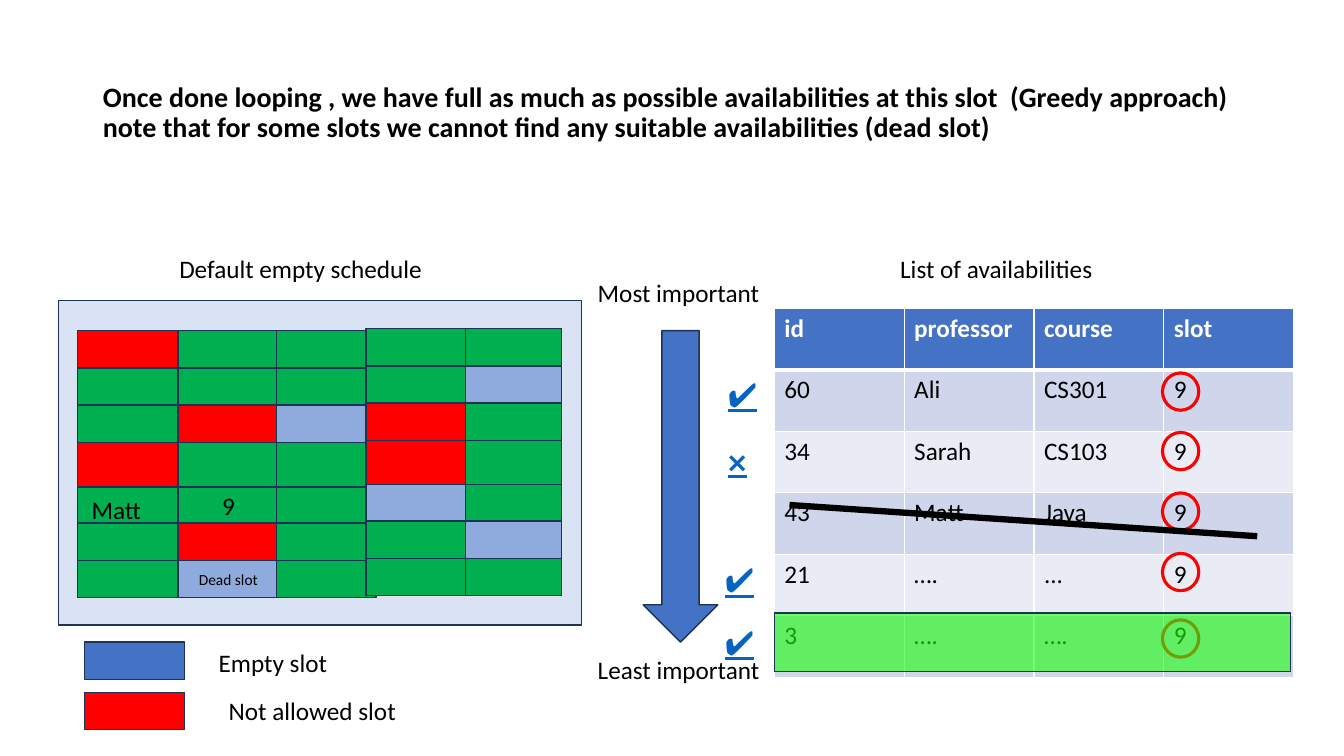
from typing import NamedTuple, Optional

from lxml.etree import SubElement
from pptx import Presentation
from pptx.dml.color import RGBColor
from pptx.enum.shapes import MSO_CONNECTOR, MSO_SHAPE as Preset
from pptx.enum.text import MSO_ANCHOR as Anchor, MSO_AUTO_SIZE as AutoSize, PP_ALIGN as Align
from pptx.oxml.ns import qn
from pptx.util import Inches, Pt

FONT = "Calibri"
BLACK, WHITE, RED, GREEN = "000000", "FFFFFF", "FF0000", "00B050"
BLUE, PALE_BLUE, PANEL, OUTLINE = "4472C4", "8FAADC", "DAE3F3", "1E3256"
LINK_BLUE, HIGHLIGHT = "0563C1", "1DFF0D"
BANDS = ("CFD5EA", "E9EBF5")


class Box(NamedTuple):
    """Position and size in inches."""
    left: float
    top: float
    width: float
    height: float


class Label(NamedTuple):
    """A free text on the slide."""
    text: str
    box: Box
    size: int = 18
    color: str = BLACK
    underline: bool = False


def rgb(color: str) -> RGBColor:
    """Turn a hex string into a colour."""
    return RGBColor.from_string(color)


def lengths(box: Box) -> list:
    """Convert a box to slide lengths."""
    return [Inches(value) for value in box]


def add_run(paragraph, text: str, size: int, color: str = BLACK,
            bold: bool = False, underline: bool = False) -> None:
    """Append one formatted run."""
    run = paragraph.add_run()
    run.text = text
    font = run.font
    font.name, font.size, font.bold = FONT, Pt(size), bold
    font.color.rgb = rgb(color)
    if underline:
        font.underline = True


def add_figure(slide, preset, box: Box, fill: Optional[str],
               line: str = OUTLINE, weight: float = 1):
    """Draw a preset shape, unfilled when fill is None."""
    figure = slide.shapes.add_shape(preset, *lengths(box))
    figure.shadow.inherit = False
    if fill is None:
        figure.fill.background()
    else:
        figure.fill.solid()
        figure.fill.fore_color.rgb = rgb(fill)
    figure.line.color.rgb = rgb(line)
    figure.line.width = Pt(weight)
    return figure


def add_label(slide, label: Label) -> None:
    """Write a wrapped text box."""
    frame = slide.shapes.add_textbox(*lengths(label.box)).text_frame
    frame.word_wrap = True
    frame.auto_size = AutoSize.SHAPE_TO_FIT_TEXT
    add_run(frame.paragraphs[0], label.text, label.size, label.color,
            underline=label.underline)


def add_title(slide, lines: tuple) -> None:
    """Place the title and write its lines."""
    title = slide.shapes.title
    title.left, title.top, title.width, title.height = lengths(Box(0.92, 0.4, 11.5, 1.45))
    frame = title.text_frame
    frame.auto_size, frame.vertical_anchor = AutoSize.NONE, Anchor.MIDDLE
    paragraph = frame.paragraphs[0]
    paragraph.alignment, paragraph.line_spacing = Align.LEFT, 0.9
    for index, line in enumerate(lines):
        if index:
            paragraph.add_line_break()
        add_run(paragraph, line, 20, bold=True)


def add_schedule(slide) -> None:
    """Draw the weekly grid of slots, column by column."""
    slot_fills = {"R": RED, "G": GREEN, "E": PALE_BLUE}
    slot_rows = ("RGGGG", "GGGGE", "GRERG", "RGGRG", "GGGEG", "GRGGE", "GEGGG")
    row_tops = (3.28, 3.65, 4.02, 4.39, 4.83, 5.19, 5.56)
    column_lefts = (0.77, 1.77, 2.74, 3.63, 4.58)
    captions = {(4, 1): ("9", 18), (6, 1): ("Dead slot", 11)}
    add_figure(slide, Preset.RECTANGLE, Box(0.58, 2.98, 5.19, 3.22), PANEL)
    for column in (0, 1, 2, 4, 3):  # the fourth column overlaps the fifth
        lift = 0.02 if column > 2 else 0
        for row, (top, codes) in enumerate(zip(row_tops, slot_rows)):
            height = 0.44 if row == 3 else 0.37
            slot = add_figure(slide, Preset.RECTANGLE,
                              Box(column_lefts[column], top - lift, 0.99, height),
                              slot_fills[codes[column]])
            if (row, column) in captions:
                frame = slot.text_frame
                frame.vertical_anchor = Anchor.MIDDLE
                frame.paragraphs[0].alignment = Align.CENTER
                add_run(frame.paragraphs[0], *captions[row, column])


def add_borders(cell, bottom: float) -> None:
    """Give a cell white borders."""
    properties = cell._tc.get_or_add_tcPr()
    for side, weight in (("L", 1), ("R", 1), ("T", 1), ("B", bottom)):
        border = SubElement(properties, qn(f"a:ln{side}"), w=str(Pt(weight)))
        SubElement(SubElement(border, qn("a:solidFill")), qn("a:srgbClr"), val=WHITE)


def add_availabilities(slide) -> None:
    """Build the table of availabilities."""
    rows = (("id", "professor", "course", "slot"),
            ("60", "Ali", "CS301", "9"),
            ("34", "Sarah", "CS103", "9"),
            ("43", "Matt", "Java", "9"),
            ("21", "….", "...", "9"),
            ("3", "….", "….", "9"))
    table = slide.shapes.add_table(len(rows), len(rows[0]),
                                   *lengths(Box(7.68, 3.06, 5.15, 3.66))).table
    for row, values in enumerate(rows):
        header = row == 0
        for column, value in enumerate(values):
            cell = table.cell(row, column)
            add_borders(cell, 3 if header else 1)
            cell.fill.solid()
            cell.fill.fore_color.rgb = rgb(BLUE if header else BANDS[(row - 1) % 2])
            add_run(cell.text_frame.paragraphs[0], value, 18,
                    WHITE if header else BLACK, bold=header)


def add_strike(slide) -> None:
    """Cross out the availability that has been used."""
    strike = slide.shapes.add_connector(
        MSO_CONNECTOR.STRAIGHT, *lengths(Box(7.83, 5.01, 12.47, 5.32)))
    strike.line.color.rgb = rgb(BLACK)
    strike.line.width = Pt(4.5)
    SubElement(strike._element.spPr, qn("a:effectLst"))


def add_highlight(slide) -> None:
    """Lay a translucent band over the last availability."""
    band = add_figure(slide, Preset.RECTANGLE, Box(7.68, 6.08, 5.12, 0.58), HIGHLIGHT)
    tint = band._element.spPr.find(qn("a:solidFill")).find(qn("a:srgbClr"))
    SubElement(tint, qn("a:alpha"), val="61000")


def mark(symbol: str, left: float, top: float, size: int = 24) -> Label:
    """Describe a verdict beside a table row."""
    return Label(symbol, Box(left, top, 3, 0.81), size, LINK_BLUE, True)


CHECK, CROSS = "✔️", "❌"
LABELS = (
    Label("Default empty schedule", Box(1.68, 2.46, 3, 0.4)),
    Label("List of availabilities", Box(8.83, 2.46, 3, 0.4)),
    Label("Empty slot", Box(2.07, 6.37, 3, 0.4)),
    Label("Not allowed slot", Box(2.17, 6.85, 3, 0.4)),
    Label("Matt", Box(0.81, 4.86, 0.87, 0.4)),
    Label("Most important", Box(5.83, 2.7, 2.16, 0.4)),
    Label("Least important", Box(5.83, 6.44, 2.16, 0.4)),
    mark(CROSS, 7.12, 4.37, 20),
    mark(CHECK, 7.12, 3.66),
    mark(CHECK, 7.09, 5.5),
    mark(CHECK, 7.09, 6.12),
)

deck = Presentation()
deck.slide_width, deck.slide_height = Inches(13.33), Inches(7.5)
slide = deck.slides.add_slide(deck.slide_layouts[5])
add_title(slide, (
    "Once done looping , we have full as much as possible availabilities"
    " at this slot\u00a0 (Greedy approach)",
    "note that for some slots we cannot find any suitable availabilities (dead slot)"))
add_schedule(slide)
for legend_top, legend_fill in ((6.37, BLUE), (6.87, RED)):
    add_figure(slide, Preset.RECTANGLE, Box(0.84, legend_top, 0.99, 0.37), legend_fill)
add_availabilities(slide)
for ring_top in (3.7, 4.29, 4.89, 5.49, 6.15):
    add_figure(slide, Preset.OVAL, Box(11.53, ring_top, 0.36, 0.37), None, RED, 2.25)
add_strike(slide)
add_figure(slide, Preset.DOWN_ARROW, Box(6.38, 3.28, 0.74, 3.09), BLUE)
add_highlight(slide)
for label in LABELS:
    add_label(slide, label)
deck.save("out.pptx")
